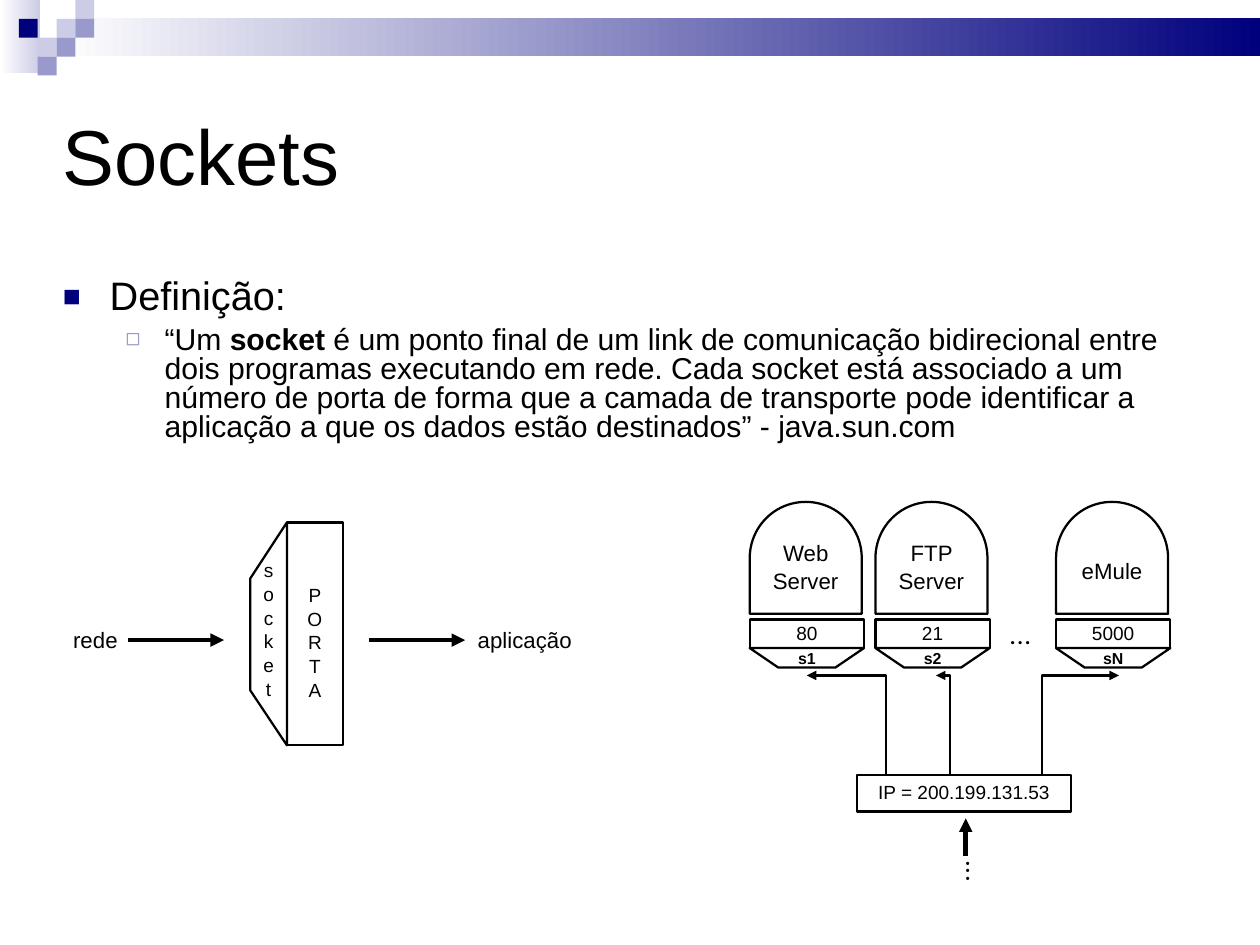
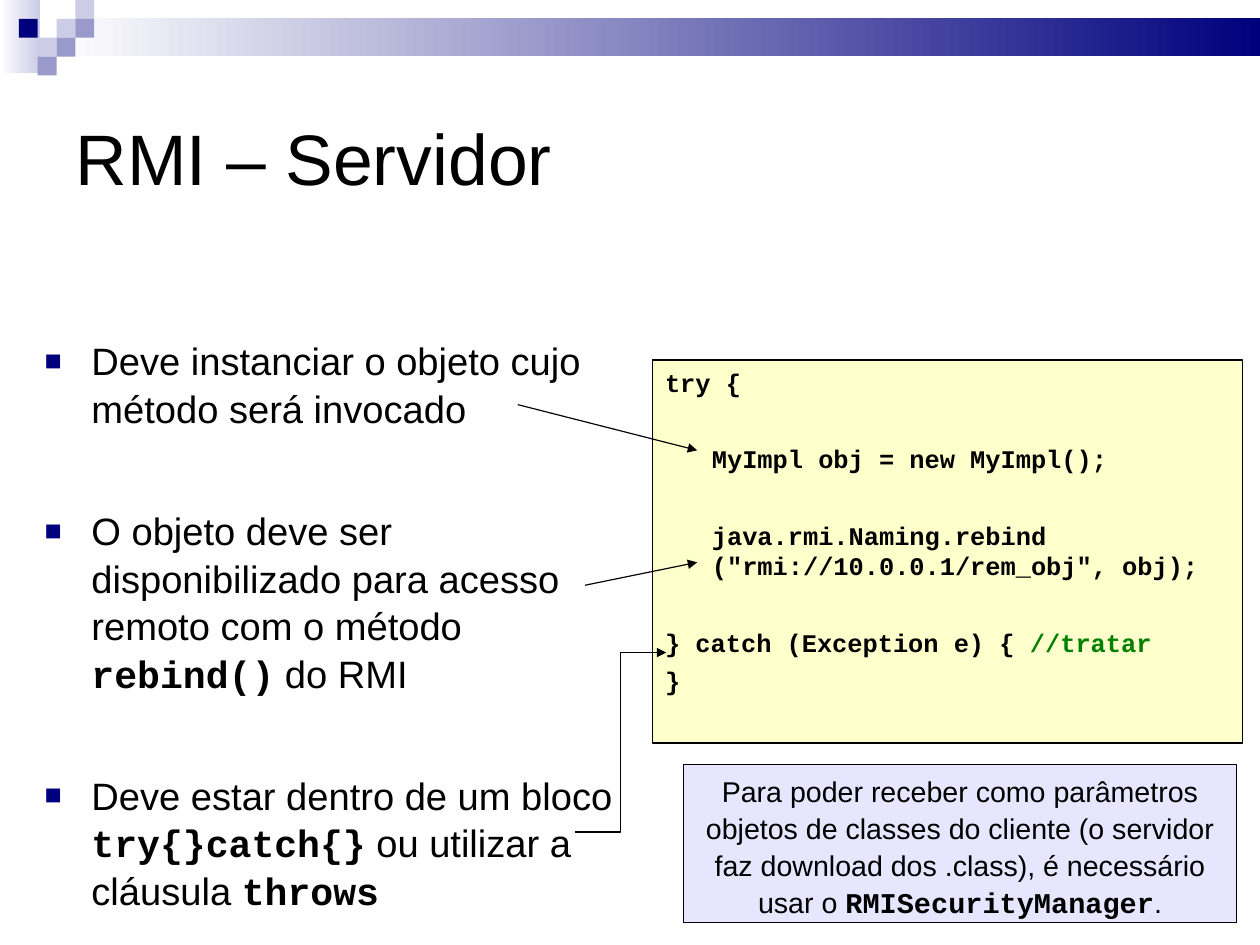
from lxml import etree
from pptx import Presentation
from pptx.dml.color import RGBColor
from pptx.enum.shapes import MSO_CONNECTOR as LINE, MSO_SHAPE as SHAPE
from pptx.enum.text import MSO_ANCHOR as ANCHOR, MSO_AUTO_SIZE as FIT, PP_ALIGN as ALIGN
from pptx.oxml.ns import qn
from pptx.util import Emu, Inches, Pt

WIDE, HIGH = Emu(10080625), Emu(7559675)
NAVY, LILAC, PALE = "00007D", "9999CC", "CCCCE6"
BLACK, WHITE, GREEN = "000000", "FFFFFF", "008000"
CREAM, MIST = "FFFFCC", "E6E6FF"
SANS, MONO = "Arial", "Courier New"
PAD, NONE, LIFT = (0.11, 0.06, 0.11, 0.06), (0, 0, 0, 0), (0, 0, 0, 0.03)
CELL = 0.33 / 2
SQUARES = [(3, 1, PALE), (4, 0, PALE), (4, 1, LILAC), (2, 2, PALE),
           (1, 1, NAVY), (3, 2, LILAC), (2, 3, LILAC)]
BOLD = {"bold": True}
CODE = {"bold": True, "face": MONO}


def rgb(value):
    return RGBColor.from_string(value)


def style(font, size=None, face=None, bold=None, color=None):
    if size:
        font.size = Pt(size)
    if face:
        font.name = face
    if bold is not None:
        font.bold = bold
    if color:
        font.color.rgb = rgb(color)


def write(para, text, size, face=SANS, bold=False, mark=BOLD,
          align=ALIGN.LEFT, lead=1.04, before=0):
    """Fill a paragraph; the parts between bars take the mark style."""
    para.alignment = align
    para.line_spacing = lead
    para.space_before = Pt(before)
    for i, part in enumerate(text.split("|")):
        if part:
            run = para.add_run()
            run.text = part
            style(run.font, size, face, bold, BLACK)
            if i % 2:
                style(run.font, **mark)


def setup(frame, inset=PAD, anchor=ANCHOR.TOP, wrap=True):
    frame.auto_size = FIT.NONE
    frame.word_wrap = wrap
    frame.vertical_anchor = anchor
    (frame.margin_left, frame.margin_top,
     frame.margin_right, frame.margin_bottom) = map(Inches, inset)
    return frame


def rows(frame):
    """Yield the first paragraph, then new ones."""
    yield frame.paragraphs[0]
    while True:
        yield frame.add_paragraph()


def frame_at(slide, box, inset=PAD, turn=0):
    text = slide.shapes.add_textbox(*map(Inches, box))
    text.rotation = turn
    return setup(text.text_frame, inset)


def label(slide, box, text, size, turn=0, **look):
    write(frame_at(slide, box, turn=turn).paragraphs[0], text, size, **look)


def paint(shape, fill=None, line=None):
    shape.shadow.inherit = False
    if fill:
        shape.fill.solid()
        shape.fill.fore_color.rgb = rgb(fill)
    else:
        shape.fill.background()
    if line:
        shape.line.color.rgb = rgb(BLACK)
        shape.line.width = Pt(line)
    else:
        shape.line.fill.background()
    return shape


def block(slide, box, fill=None, line=None, kind=SHAPE.RECTANGLE):
    return paint(slide.shapes.add_shape(kind, *map(Inches, box)), fill, line)


def outline(slide, points):
    spots = [(Inches(x), Inches(y)) for x, y in points]
    build = slide.shapes.build_freeform(*spots[0])
    build.add_line_segments(spots[1:], close=True)
    return paint(build.convert_to_shape(), line=1.42)


def arrow(slide, start, end, width, kind=LINE.STRAIGHT):
    link = slide.shapes.add_connector(kind, *map(Inches, start + end))
    link.line.color.rgb = rgb(BLACK)
    link.line.width = Pt(width)
    etree.SubElement(link.line._get_or_add_ln(), qn("a:tailEnd"), type="triangle")
    etree.SubElement(link._element.spPr, qn("a:effectLst"))


def bullet(para, left, hang, sign, color, scale):
    props = para._p.get_or_add_pPr()
    props.set("marL", str(Inches(left)))
    props.set("indent", str(-Inches(hang)))
    tint = etree.SubElement(props, qn("a:buClr"))
    etree.SubElement(tint, qn("a:srgbClr"), val=color)
    etree.SubElement(props, qn("a:buSzPct"), val=str(scale * 1000))
    etree.SubElement(props, qn("a:buFont"), typeface=SANS)
    etree.SubElement(props, qn("a:buChar"), char=sign)


def square(para):
    bullet(para, 0.41, 0.41, "■", NAVY, 75)


def fade(slide, box, color):
    shape = block(slide, box)
    shape.fill.gradient()
    shape.fill.gradient_angle = 0
    for stop, tone in zip(shape.fill.gradient_stops, (WHITE, color)):
        stop.color.rgb = rgb(tone)


def start(deck, title, box, size, inset, lead):
    """Add a slide with the top band and its title."""
    slide = deck.slides.add_slide(deck.slide_layouts[5])
    fade(slide, (0, 0, 0.35, 0.64), PALE)
    fade(slide, (0.5, 0.16, WIDE.inches - 0.5, 0.33), NAVY)
    for col, row, color in SQUARES:
        block(slide, (col * CELL, row * CELL, CELL, CELL), color)
    head = slide.shapes.title
    head.left, head.top, head.width, head.height = map(Inches, box)
    frame = setup(head.text_frame, inset, ANCHOR.MIDDLE)
    write(frame.paragraphs[0], title, size, lead=lead)
    return slide


def port(slide, left, top):
    """Draw the port with its socket, between network and application."""
    mid = top + 1.03
    edge = left + 0.32
    outline(slide, [(edge, top), (edge, top + 1.95),
                    (left, top + 1.47), (left, top + 0.49)])
    door = block(slide, (edge, top, 0.49, 1.95), line=1.42)
    frame = setup(door.text_frame, (0, 0.14, 0, 0), ANCHOR.MIDDLE)
    for letter, para in zip("PORTA", rows(frame)):
        write(para, letter, 12, align=ALIGN.CENTER)
    label(slide, (left, top + 0.25, 0.32, 1.64), "socket", 12, align=ALIGN.CENTER)
    for x, word, spot, width in ((left - 1.07, "rede", left - 1.66, 0.75),
                                 (left + 1.04, "aplicação", left + 1.88, 1.27)):
        arrow(slide, (x, mid), (x + 0.84, mid), 2.83)
        label(slide, (spot, mid - 0.19, width, 0.4), word, 14)


def server(slide, left, top, name, number, plug):
    """Draw one server above its port and socket."""
    block(slide, (left, top, 0.98, 0.98), line=1.42,
          kind=SHAPE.FLOWCHART_DELAY).rotation = 270
    drop = 0.26 if " " in name else 0.42
    label(slide, (left, top + drop, 0.98, 0.61), name, 14, align=ALIGN.CENTER)
    low = top + 1.28
    gate = block(slide, (left, low - 0.25, 1, 0.25), line=1.42)
    cup = outline(slide, [(left, low), (left + 1, low),
                          (left + 0.75, low + 0.17), (left + 0.25, low + 0.17)])
    for shape, text, size, bold, inset in ((gate, number, 12, False, LIFT),
                                           (cup, plug, 10, True, NONE)):
        frame = setup(shape.text_frame, inset, ANCHOR.MIDDLE, False)
        write(frame.paragraphs[0], text, size, bold=bold, align=ALIGN.CENTER)


def host(slide, left, top):
    """Draw the servers that share one address."""
    for shift, name, number, plug in ((0, "Web Server", "80", "s1"),
                                      (1.1, "FTP Server", "21", "s2"),
                                      (2.68, "eMule", "5000", "sN")):
        server(slide, left + shift, top, name, number, plug)
    base = top + 2.39
    mid = left + 1.88
    for shift in (0.5, 1.63, 3.23):
        arrow(slide, (mid, base), (left + shift, top + 1.52), 1.42, LINE.ELBOW)
    box = block(slide, (left + 0.94, base, 1.87, 0.32), line=1.42,
                kind=SHAPE.FLOWCHART_PROCESS)
    frame = setup(box.text_frame, LIFT, ANCHOR.MIDDLE, False)
    write(frame.paragraphs[0], "IP = 200.199.131.53", 12, align=ALIGN.CENTER)
    arrow(slide, (mid + 0.01, base + 0.71), (mid + 0.01, base + 0.38), 2.83)
    for x, y, turn in ((left + 2.16, top + 0.91, 0), (left + 1.51, top + 2.92, 270)):
        label(slide, (x, y, 0.59, 0.45), "...", 18, turn, face="Roboto", lead=1.1)


def sockets(deck):
    slide = start(deck, "Sockets", (0.55, 0.64, 9.92, 1.49), 49, NONE, 0.98)
    frame = frame_at(slide, (0.55, 2.39, 9.92, 1.55), NONE)
    head, quote = frame.paragraphs[0], frame.add_paragraph()
    square(head)
    write(head, "Definição:", 25, lead=0.98)
    bullet(quote, 0.89, 0.34, "◻", LILAC, 80)
    write(quote, "“Um |socket| é um ponto final de um link de comunicação "
          "bidirecional entre dois programas executando em rede. Cada socket "
          "está associado a um número de porta de forma que a camada de "
          "transporte pode identificar a aplicação a que os dados estão "
          "destinados” - java.sun.com", 19, lead=0.8, before=4.8)
    port(slide, 2.19, 4.57)
    host(slide, 6.56, 4.39)


def steps(slide, box):
    frame = frame_at(slide, box, NONE)
    items = ("Deve instanciar o objeto cujo método será invocado",
             "O objeto deve ser disponibilizado para acesso remoto com o "
             "método |rebind()| do RMI",
             "Deve estar dentro de um bloco |try{}catch{}| ou utilizar a "
             "cláusula |throws|")
    for i, (item, para) in enumerate(zip(items, rows(frame))):
        square(para)
        write(para, item, 24, mark=CODE, before=47 if i else 0)


def listing(slide, box):
    frame = setup(block(slide, box, CREAM, 0.75).text_frame)
    lines = (("try {", 0, 0),
             ("MyImpl obj = new MyImpl();", 0.41, 29),
             ('java.rmi.Naming.rebind ("rmi://10.0.0.1/rem_obj", obj);', 0.41, 29),
             ("} catch (Exception e) { |//tratar|", 0, 29),
             ("}", 0, 5))
    for (text, left, gap), para in zip(lines, rows(frame)):
        para._p.get_or_add_pPr().set("marL", str(Inches(left)))
        write(para, text, 16, MONO, True, {"color": GREEN}, lead=1.0, before=gap)


def remark(slide, box):
    frame = setup(block(slide, box, MIST, 0.75).text_frame)
    write(frame.paragraphs[0], "Para poder receber como parâmetros objetos de "
          "classes do cliente (o servidor faz download dos .class), é "
          "necessário usar o |RMISecurityManager|.", 18, mark=CODE,
          align=ALIGN.CENTER, lead=1.08)


def rmi(deck):
    slide = start(deck, "RMI – Servidor", (0.55, 0.55, 9.92, 1.65), 45, PAD, 1.0)
    steps(slide, (0.39, 2.94, 5.25, 5.21))
    listing(slide, (5.71, 3.15, 5.16, 3.35))
    arrow(slide, (4.53, 3.54), (6.1, 3.94), 0.75)
    arrow(slide, (5.12, 5.12), (6.1, 4.92), 0.75)
    arrow(slide, (5.03, 7.28), (5.83, 5.71), 0.75, LINE.ELBOW)
    remark(slide, (5.98, 6.69, 4.84, 1.38))


def main():
    deck = Presentation()
    deck.slide_width, deck.slide_height = WIDE, HIGH
    sockets(deck)
    rmi(deck)
    deck.save("out.pptx")


if __name__ == "__main__":
    main()
